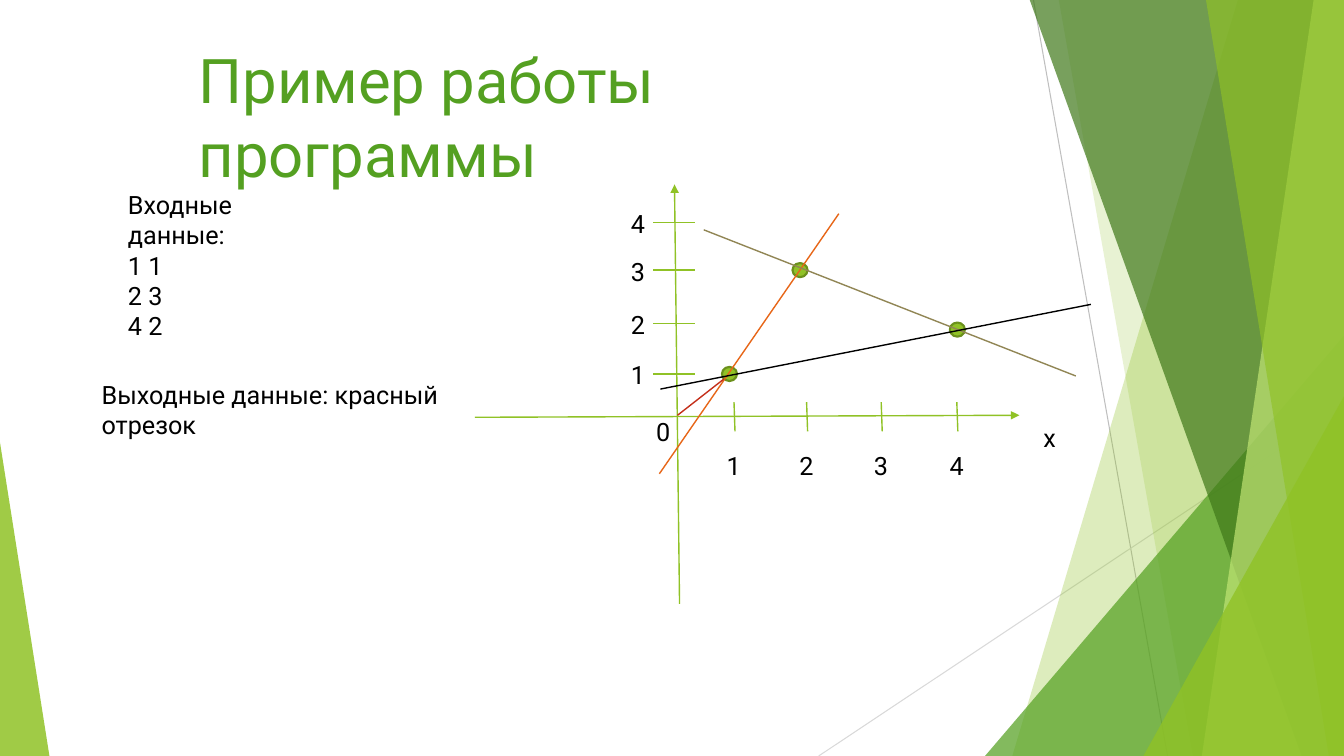
"""Build the slide that shows a worked example of the program on a coordinate plane."""
import pptx
import pptx.util
import pptx.dml.color
import pptx.enum.shapes
import pptx.enum.text
import pptx.oxml
import pptx.oxml.ns
from dataclasses import dataclass


@dataclass(frozen=True)
class Theme:
    font: str = "Roboto"
    title_size: int = 44
    body_size: int = 18
    lime: str = "90C226"
    green: str = "54A021"
    forest: str = "3F7819"
    pale: str = "C0E474"
    rim: str = "6B901C"
    orange: str = "E76618"
    olive: str = "918655"
    red: str = "C42F1A"
    black: str = "000000"
    gray: str = "BFBFBF"
    light_gray: str = "D9D9D9"


THEME = Theme()
WIDTH, HEIGHT = 13.33, 7.5
BLEED = -0.01
TEXT_HEIGHT = 0.4
LABEL_WIDTH = 0.34
POINT_SIZE = (0.15, 0.14)

HEADING = ("Пример работы программы", (1.87, 0.37, 8, 0.84))
NOTES = [
    (["Входные данные:", "1 1", "2 3", "4 2"], (1.17, 1.83, 2.25, 1.31)),
    (["Выходные данные: красный отрезок"], (0.91, 3.71, 4.46, TEXT_HEIGHT)),
]

RAYS = [
    ((10.25, 0), (11.58, HEIGHT), THEME.gray),
    ((WIDTH, 4.03), (8.12, HEIGHT), THEME.light_gray),
]
FACETS = [
    ("band", 12.28, 10.04, THEME.lime, 30),
    ("band", 10.5, 11.83, THEME.lime, 20),
    ("corner", (9.77, 3.33, 3.56, 4.17), 1, THEME.green, 72),
    ("band", 10.21, 12.91, THEME.forest, 70),
    ("band", 13.03, 11.92, THEME.pale, 70),
    ("band", 11.96, 13.18, THEME.lime, 65),
    ("corner", (11.34, 3.93, 1.99, 3.57), 1, THEME.lime, 80),
    ("corner", (0, 4.39, 0.49, 3.11), 0, THEME.lime, 85),
]

AXES = [((6.74, 5.99), (6.69, 1.83)), ((4.71, 4.14), (10.11, 4.12))]
X_TICKS = {"1": 7.28, "2": 8, "3": 8.74, "4": 9.49}
Y_TICKS = {"1": 3.71, "2": 3.21, "3": 2.68, "4": 2.21}
X_TICK_SPAN = (3.99, 4.28)
Y_TICK_SPAN = (6.48, 6.89)
X_LABEL_TOP, X_LABEL_SHIFT = 4.42, -0.17
Y_LABEL_LEFT, Y_LABEL_SHIFT = 6.16, -0.19
AXIS_NAMES = [("0", 6.41, 4.08), ("x", 10.25, 4.14)]
POINTS = [(7.16, 3.64), (7.86, 2.61), (9.42, 3.2)]
SEGMENTS = [
    ((8.32, 2.12), (6.54, 4.7), THEME.orange),
    ((6.98, 2.28), (10.67, 3.73), THEME.olive),
    ((10.82, 3.02), (6.55, 3.86), THEME.black),
    ((7.18, 3.76), (6.72, 4.12), THEME.red),
]


def inches(values):
    return [pptx.util.Inches(value) for value in values]


def rgb(code):
    return pptx.dml.color.RGBColor.from_string(code)


def paint(shape, color, opacity=100):
    shape.shadow.inherit = False
    shape.fill.solid()
    shape.fill.fore_color.rgb = rgb(color)
    shape.line.fill.background()
    if opacity < 100:
        tint = shape.fill._xPr.find(".//" + pptx.oxml.ns.qn("a:srgbClr"))
        tint.append(pptx.oxml.parse_xml(
            f'<a:alpha {pptx.oxml.ns.nsdecls("a")} val="{opacity * 1000}"/>'))


def draw_line(start, end, color, weight=1, arrow=False):
    line = slide.shapes.add_connector(
        pptx.enum.shapes.MSO_CONNECTOR.STRAIGHT, *inches(start + end))
    line.line.color.rgb = rgb(color)
    line.line.width = pptx.util.Pt(weight)
    namespace = pptx.oxml.ns.nsdecls("a")
    if arrow:
        line.line._get_or_add_ln().append(
            pptx.oxml.parse_xml(f'<a:tailEnd {namespace} type="triangle"/>'))
    line._element.spPr.append(pptx.oxml.parse_xml(f"<a:effectLst {namespace}/>"))


def write(shape, lines, size, color):
    frame = shape.text_frame
    frame.word_wrap = True
    frame.auto_size = pptx.enum.text.MSO_AUTO_SIZE.SHAPE_TO_FIT_TEXT
    frame.vertical_anchor = pptx.enum.text.MSO_ANCHOR.TOP
    for index, text in enumerate(lines):
        paragraph = frame.add_paragraph() if index else frame.paragraphs[0]
        paragraph.alignment = pptx.enum.text.PP_ALIGN.LEFT
        run = paragraph.add_run()
        run.text = text
        run.font.name = THEME.font
        run.font.size = pptx.util.Pt(size)
        run.font.color.rgb = rgb(color)


def draw_text(lines, box):
    write(slide.shapes.add_textbox(*inches(box)), lines, THEME.body_size, THEME.black)


def draw_label(text, left, top):
    draw_text([text], (left, top, LABEL_WIDTH, TEXT_HEIGHT))


def draw_band(top_left, bottom_left):
    corners = [(top_left, BLEED), (WIDTH, BLEED), (WIDTH, HEIGHT), (bottom_left, HEIGHT)]
    first, *rest = [inches(corner) for corner in corners]
    outline = slide.shapes.build_freeform(*first)
    outline.add_line_segments(rest, close=True)
    return outline.convert_to_shape()


def draw_corner(box, apex):
    corner = slide.shapes.add_shape(
        pptx.enum.shapes.MSO_SHAPE.ISOSCELES_TRIANGLE, *inches(box))
    corner.adjustments[0] = apex
    return corner


deck = pptx.Presentation()
deck.slide_width, deck.slide_height = inches((WIDTH, HEIGHT))
slide = deck.slides.add_slide(deck.slide_layouts.get_by_name("Title Only"))

heading_text, heading_box = HEADING
heading = slide.shapes.title
heading.left, heading.top, heading.width, heading.height = inches(heading_box)
write(heading, [heading_text], THEME.title_size, THEME.green)

for start, end, color in RAYS:
    draw_line(start, end, color, 0.75)
FACET_MAKERS = {"band": draw_band, "corner": draw_corner}
for kind, first, second, color, opacity in FACETS:
    paint(FACET_MAKERS[kind](first, second), color, opacity)

for start, end in AXES:
    draw_line(start, end, THEME.lime, arrow=True)
for number, x in X_TICKS.items():
    draw_line((x, X_TICK_SPAN[0]), (x + 0.01, X_TICK_SPAN[1]), THEME.lime)
    draw_label(number, x + X_LABEL_SHIFT, X_LABEL_TOP)
for number, y in Y_TICKS.items():
    draw_line((Y_TICK_SPAN[0], y), (Y_TICK_SPAN[1], y), THEME.lime)
    draw_label(number, Y_LABEL_LEFT, y + Y_LABEL_SHIFT)
for name, left, top in AXIS_NAMES:
    draw_label(name, left, top)

for point in POINTS:
    dot = slide.shapes.add_shape(
        pptx.enum.shapes.MSO_SHAPE.FLOWCHART_CONNECTOR, *inches(point + POINT_SIZE))
    paint(dot, THEME.lime)
    dot.line.color.rgb = rgb(THEME.rim)
    dot.line.width = pptx.util.Pt(1.5)
for start, end, color in SEGMENTS:
    draw_line(start, end, color)
for lines, box in NOTES:
    draw_text(lines, box)

deck.save("out.pptx")
